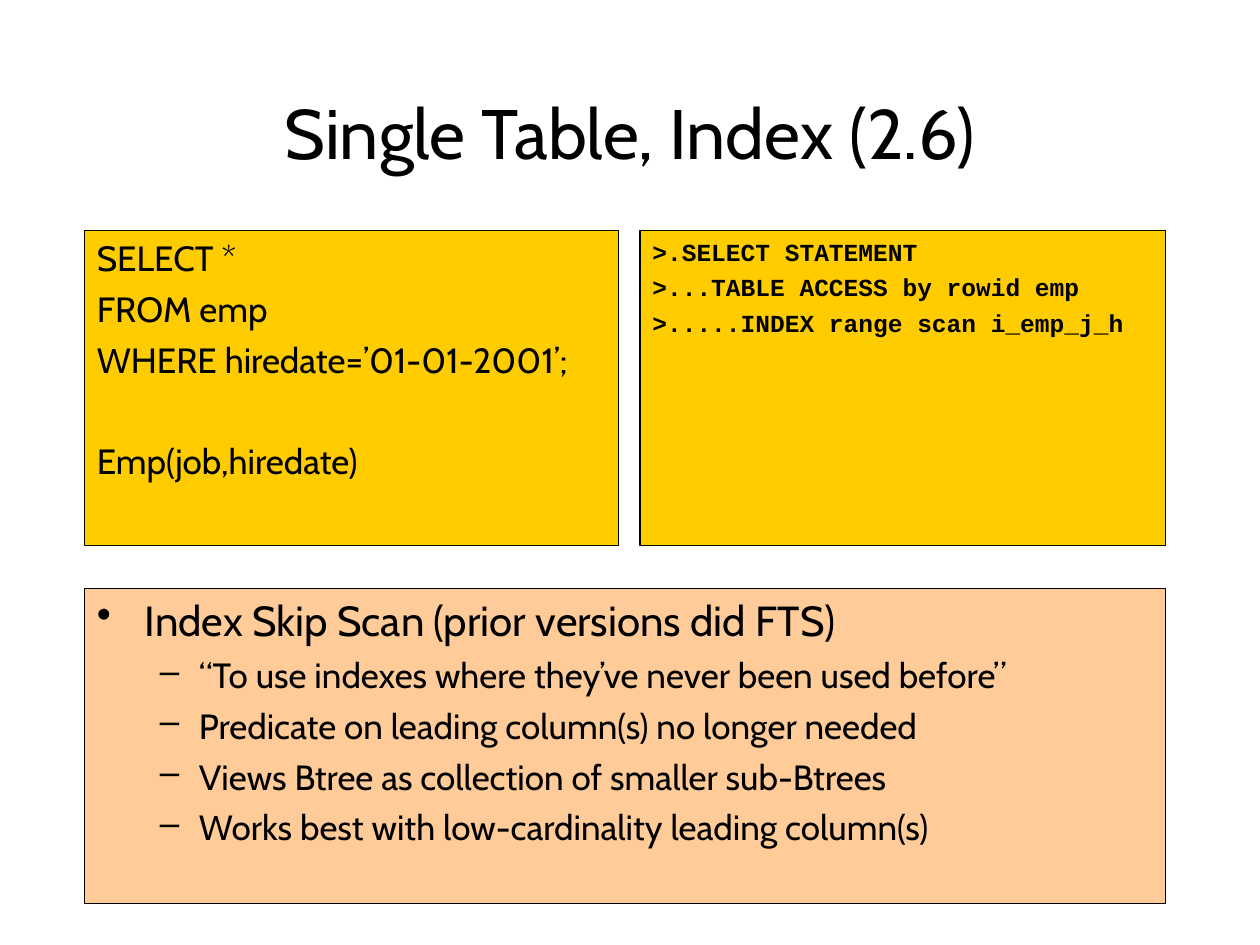
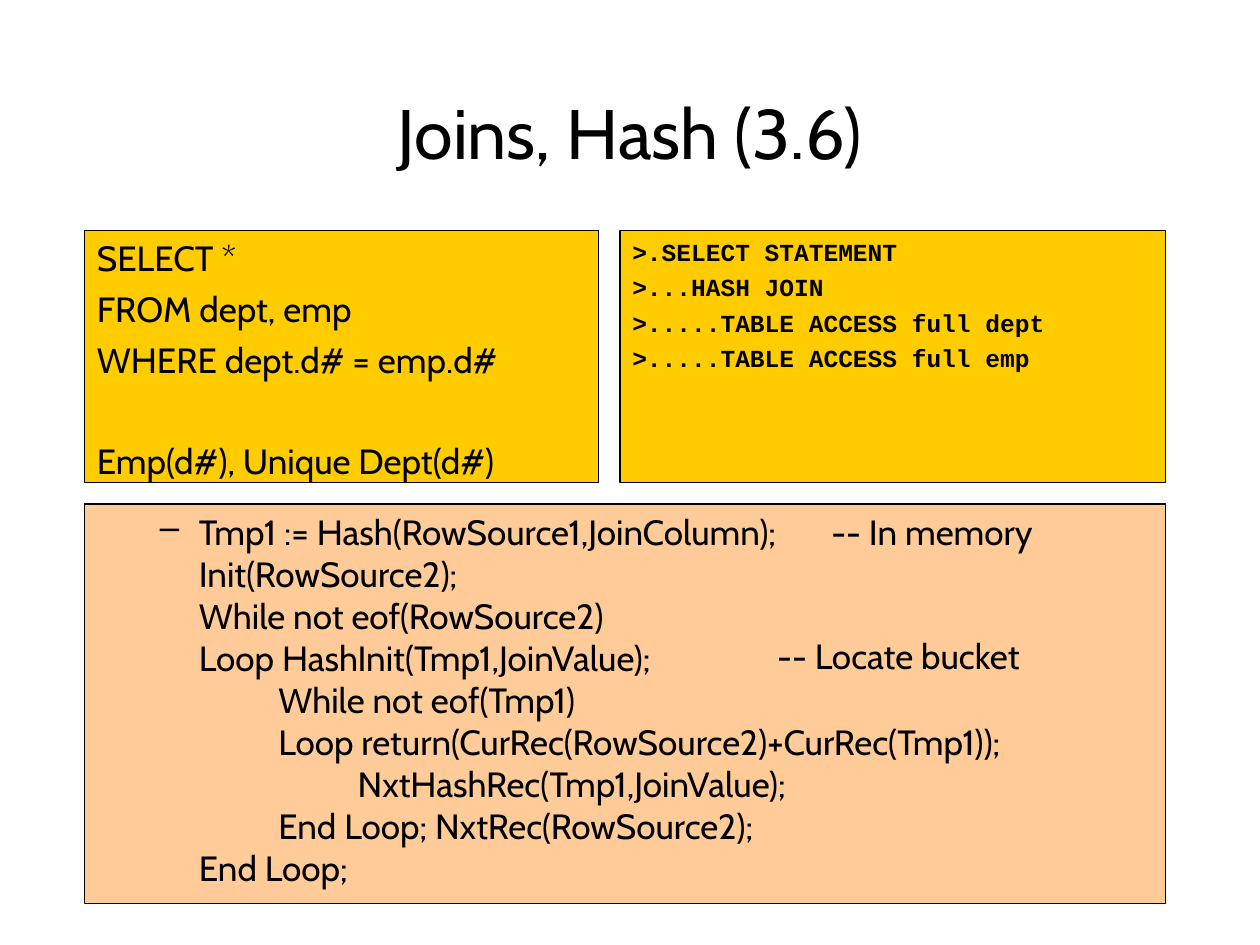
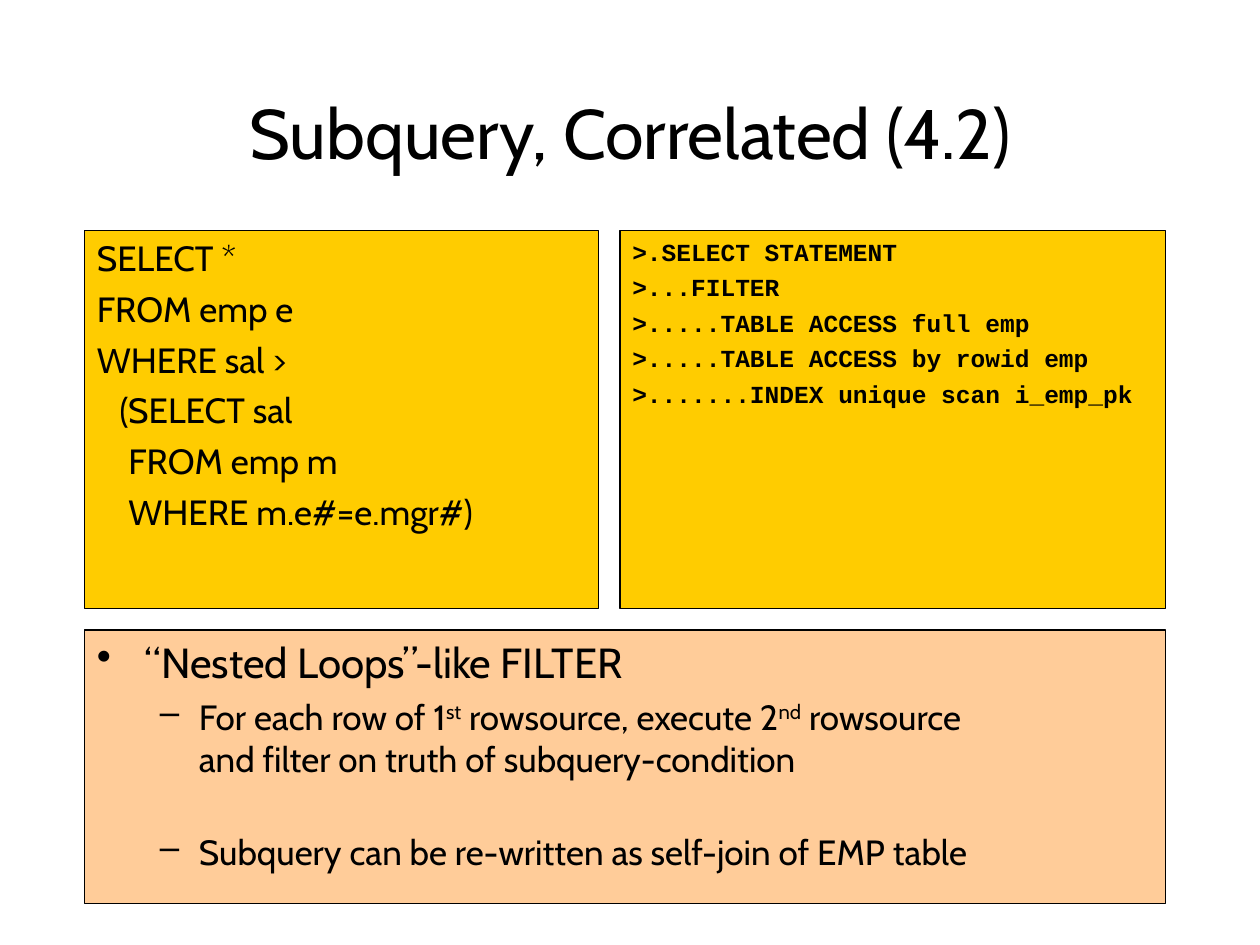
from collections import namedtuple

from lxml.etree import SubElement
from pptx import Presentation
from pptx.dml.color import RGBColor
from pptx.enum.shapes import MSO_SHAPE as Shape
from pptx.enum.text import MSO_ANCHOR as Anchor, PP_ALIGN as Align
from pptx.oxml.ns import qn
from pptx.util import Inches, Pt

BLACK = RGBColor(0x00, 0x00, 0x00)
GOLD = RGBColor(0xFF, 0xCC, 0x00)
PEACH = RGBColor(0xFF, 0xCC, 0x99)
SANS, MONO = "Cabin", "Courier New"

LEFT, RIGHT = 0.67, 9.25
TOP, BOTTOM = 1.83, 7.17
GAP = 0.17
ROW = 0.33  # height of a 20 point line
STEP = 0.63  # indent of one code level
BLANK = 24  # points taken by an empty 20 point line

Line = namedtuple("Line", "runs size font bold before left hang mark",
                  defaults=(20, SANS, False, 5, 0, 0, None))


def point(text):
    return Line([text], size=24, before=6, left=0.38, hang=0.38, mark="•")


def dash(*runs, before=5):
    return Line(runs, before=before, left=0.81, hang=0.31, mark="–")


def code(text, depth=0):
    return Line([text], before=0, left=0.81 + depth * STEP)


def query(text, left=0, before=5):
    return Line([text], left=left, before=before)


def plan(text):
    return Line([text], size=14, font=MONO, bold=True, before=3.5)


def add_run(para, text, line):
    """Add one run; a leading ^ raises it, a newline is a line break."""
    if text == "\n":
        para.add_line_break()
        return
    run = para.add_run()
    run.text = text.lstrip("^")
    font = run.font
    font.name, font.size, font.bold = line.font, Pt(line.size), line.bold
    font.color.rgb = BLACK
    if text.startswith("^"):
        run._r.get_or_add_rPr().set("baseline", "30000")


def set_mark(para, line):
    props = para._p.get_or_add_pPr()
    props.set("marL", str(Inches(line.left)))
    props.set("indent", str(-Inches(line.hang)))
    if line.mark:
        SubElement(props, qn("a:buChar")).set("char", line.mark)
    else:
        SubElement(props, qn("a:buNone"))


def fill_text(shape, lines, align=Align.LEFT, anchor=Anchor.TOP):
    frame = shape.text_frame
    frame.word_wrap = True
    frame.vertical_anchor = anchor
    for i, line in enumerate(lines):
        para = frame.add_paragraph() if i else frame.paragraphs[0]
        para.alignment = align
        para.space_before = Pt(line.before)
        set_mark(para, line)
        for text in line.runs:
            add_run(para, text, line)


def add_text(slide, left, top, width, height, lines, **style):
    box = slide.shapes.add_textbox(*map(Inches, (left, top, width, height)))
    fill_text(box, lines, **style)


def add_panel(slide, left, top, right, bottom, color, lines):
    panel = slide.shapes.add_shape(
        Shape.RECTANGLE,
        *map(Inches, (left, top, right - left, bottom - top)))
    panel.shadow.inherit = False
    panel.fill.solid()
    panel.fill.fore_color.rgb = color
    panel.line.color.rgb = BLACK
    panel.line.width = Pt(0.75)
    fill_text(panel, lines)


def add_page(deck, title, sql, steps, notes, split, end, start):
    """Query and plan side by side down to end, notes from start."""
    slide = deck.slides.add_slide(deck.slide_layouts[6])
    add_text(slide, 0.75, 0.67, 8.5, 0.75, [Line([title], size=40, before=0)],
             align=Align.CENTER, anchor=Anchor.MIDDLE)
    add_panel(slide, LEFT, start, RIGHT, BOTTOM, PEACH, notes)
    add_panel(slide, split, TOP, RIGHT, end, GOLD, [plan(s) for s in steps])
    add_panel(slide, LEFT, TOP, split - GAP, end, GOLD, sql)
    return slide


def main():
    deck = Presentation()
    deck.slide_width, deck.slide_height = Inches(10), Inches(7.5)
    apart = 2 * 5 + BLANK

    add_page(
        deck, "Single Table, Index (2.6)",
        [query("SELECT *"), query("FROM emp"),
         query("WHERE hiredate=’01-01-2001’;"),
         query("Emp(job,hiredate)", before=apart)],
        [">.SELECT STATEMENT", ">...TABLE ACCESS by rowid emp",
         ">.....INDEX range scan i_emp_j_h"],
        [point("Index Skip Scan (prior versions did FTS)"),
         dash("“To use indexes where they’ve never been used before”"),
         dash("Predicate on leading column(s) no longer needed"),
         dash("Views Btree as collection of smaller sub-Btrees"),
         dash("Works best with low-cardinality leading column(s)")],
        split=5.08, end=4.33, start=4.67)

    start = 4
    join = add_page(
        deck, "Joins, Hash (3.6)",
        [query("SELECT *"), query("FROM dept, emp"),
         query("WHERE dept.d# = emp.d#"),
         query("Emp(d#), Unique Dept(d#)", before=apart)],
        [">.SELECT STATEMENT", ">...HASH JOIN",
         ">.....TABLE ACCESS full dept", ">.....TABLE ACCESS full emp"],
        [dash("Tmp1 := Hash(RowSource1,JoinColumn);"),
         code("Init(RowSource2);"),
         code("While not eof(RowSource2)"),
         code("Loop HashInit(Tmp1,JoinValue);"),
         code("While not eof(Tmp1)", 1),
         code("Loop return(CurRec(RowSource2)+CurRec(Tmp1));", 1),
         code("NxtHashRec(Tmp1,JoinValue);", 2),
         code("End Loop; NxtRec(RowSource2);", 1),
         code("End Loop;")],
        split=4.92, end=3.83, start=start)
    for row, left, text in ((0, 6.5, "-- In memory"),
                            (3, 6.07, "-- Locate bucket")):
        add_text(join, left, start + row * ROW, 2.5, 0.43, [query(text)])

    add_page(
        deck, "Subquery, Correlated (4.2)",
        [query("SELECT *"), query("FROM emp e"), query("WHERE sal >"),
         query("(SELECT sal", 0.18), query("FROM emp m", 0.25),
         query("WHERE m.e#=e.mgr#)", 0.25)],
        [">.SELECT STATEMENT", ">...FILTER", ">.....TABLE ACCESS full emp",
         ">.....TABLE ACCESS by rowid emp",
         ">.......INDEX unique scan i_emp_pk"],
        [point("“Nested Loops”-like FILTER"),
         dash("For each row of 1", "^st", " rowsource, execute 2", "^nd",
              " rowsource", "\n", "and filter on truth of subquery-condition"),
         dash("Subquery can be re-written as self-join of EMP table",
              before=5 + BLANK)],
        split=4.92, end=4.83, start=5)

    deck.save("out.pptx")


if __name__ == "__main__":
    main()
